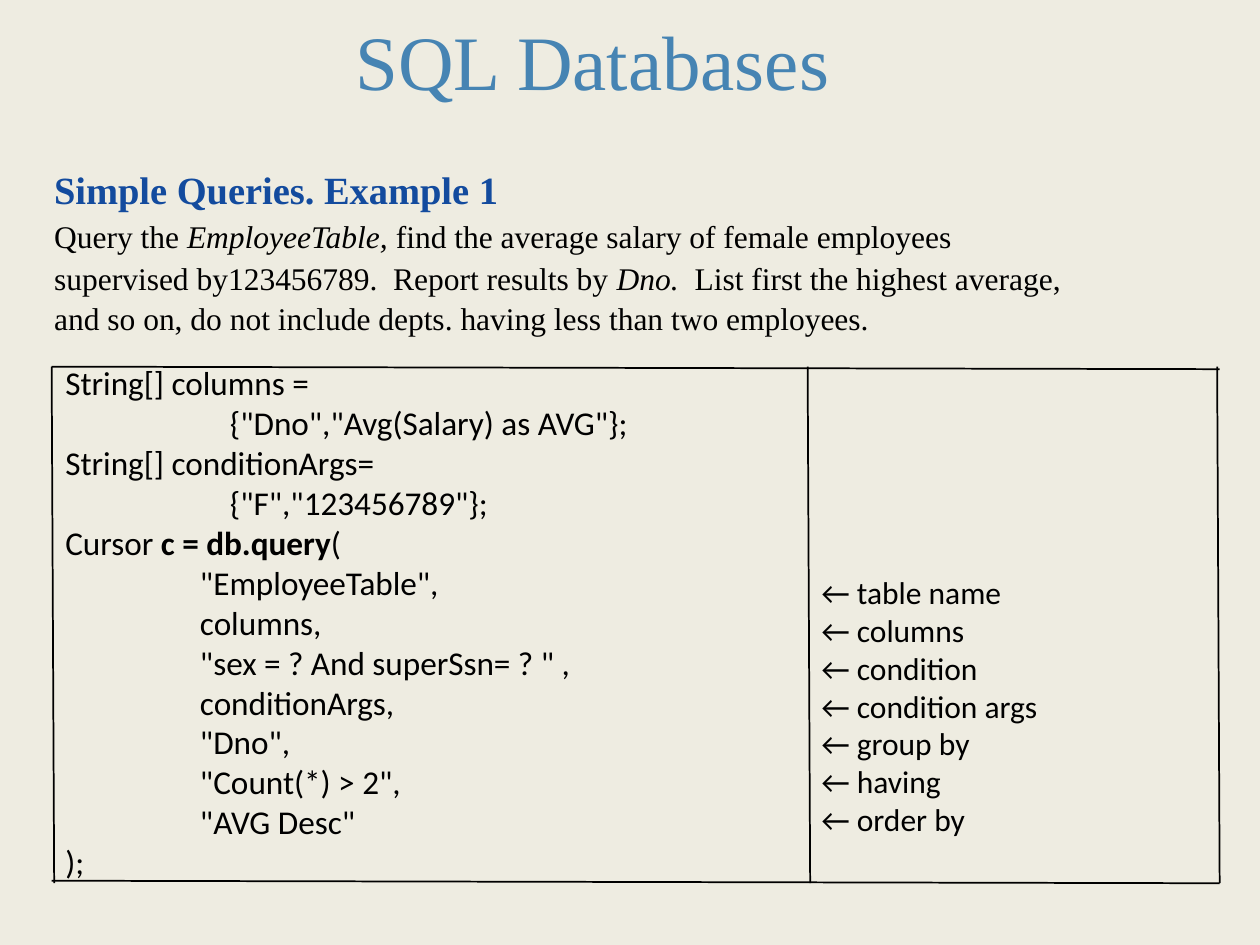
from lxml import etree
from pptx import Presentation
from pptx.dml.color import RGBColor
from pptx.enum.shapes import MSO_CONNECTOR
from pptx.oxml.ns import qn
from pptx.util import Inches, Pt

STRAIGHT = MSO_CONNECTOR.STRAIGHT
COLORS = {"background": "EEECE1", "title": "4684B3", "heading": "134B9E", "text": "000000"}
SERIF, SANS = "Times New Roman", "Calibri"

presentation = Presentation()
presentation.slide_width, presentation.slide_height = Inches(10), Inches(7.5)
slide = presentation.slides.add_slide(presentation.slide_layouts[6])
slide.background.fill.solid()
slide.background.fill.fore_color.rgb = RGBColor.from_string(COLORS["background"])


def add_text(box, lines, font_name, size, color="text", inset=True):
    """Add a text box; each line is a list of (text, style), style "", "b" or "i"."""
    shape = slide.shapes.add_textbox(*[Inches(value) for value in box])
    frame = shape.text_frame
    frame.word_wrap = True
    if not inset:
        frame.margin_left = frame.margin_right = frame.margin_top = frame.margin_bottom = 0
    for index, line in enumerate(lines):
        paragraph = frame.paragraphs[0] if index == 0 else frame.add_paragraph()
        for text, style in line:
            run = paragraph.add_run()
            run.text = text
            run.font.name, run.font.size = font_name, Pt(size)
            run.font.bold, run.font.italic = style == "b", style == "i"
            run.font.color.rgb = RGBColor.from_string(COLORS[color])
    return frame


# Frame around the code, slightly skewed
SKEW = 0.02
TOP, BOTTOM, LEFT, RIGHT = 2.91, 6.99, 0.41, 9.66
rules = [(LEFT, y, RIGHT + SKEW, y + SKEW) for y in (TOP, BOTTOM)]
rules += [(x, TOP, x + SKEW, BOTTOM + SKEW) for x in (LEFT, 6.41, RIGHT)]
for ends in rules:
    rule = slide.shapes.add_connector(STRAIGHT, *[Inches(value) for value in ends])
    rule.line.color.rgb = RGBColor.from_string(COLORS["text"])
    rule.line.width = Pt(1)
    etree.SubElement(rule._element.spPr, qn("a:effectLst"))

# Title
add_text((2.82, 0.11, 5, 0.75), [[("SQL Databases", "")]], SERIF, 44, "title", inset=False)

# Heading and task
task_lines = [
    [("Simple Queries. Example 1", "b")],
    [("Query the ", ""), ("EmployeeTable, ", "i"),
     ("find the average salary of female employees", "")],
    [("supervised by123456789.  Report results by ", ""), ("Dno.  ", "i"),
     ("List first the highest average,", "")],
    [("and so on, do not include depts. having less than two employees.", "")],
]
task = add_text((0.43, 1.34, 8.26, 1.4), task_lines, SERIF, 18, inset=False)
for paragraph, spacing in zip(task.paragraphs, (25, 24, 24, 23)):
    paragraph.line_spacing = Pt(spacing)
heading_font = task.paragraphs[0].runs[0].font
heading_font.size = Pt(22)
heading_font.color.rgb = RGBColor.from_string(COLORS["heading"])

# Code
code_lines = [
    [("String[] columns =", "")],
    [('                      {"Dno","Avg(Salary) as AVG"};', "")],
    [("String[] conditionArgs=", "")],
    [('                      {"F","123456789"};', "")],
    [("Cursor ", ""), ("c = db.query", "b"), ("(", "")],
    [('                  "EmployeeTable",', "")],
    [("                  columns,", "")],
    [('                  "sex = ? And superSsn= ? " ,', "")],
    [("                  conditionArgs,", "")],
    [('                  "Dno",', "")],
    [('                  "Count(*) > 2",', "")],
    [('                  "AVG Desc"', "")],
    [(");", "")],
]
add_text((0.42, 2.83, 5, 4.26), code_lines, SANS, 19)

# Meaning of each query argument
arguments = ["table name", "columns", "condition", "condition args",
             "group by", "having", "order by"]
add_text((6.42, 4.5, 3.2, 2.22), [[(f"← {name}", "")] for name in arguments], SANS, 18)

presentation.save("out.pptx")
